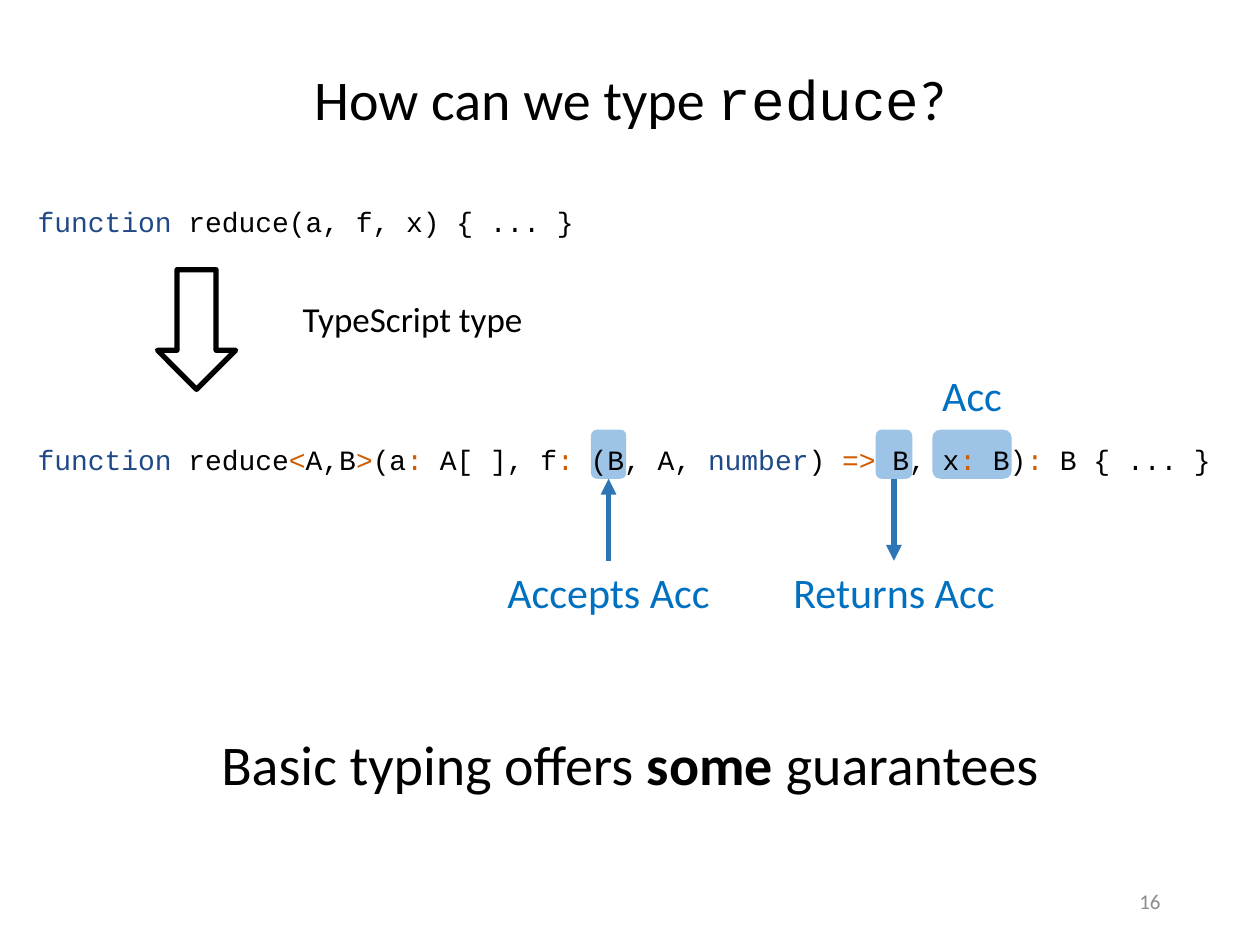
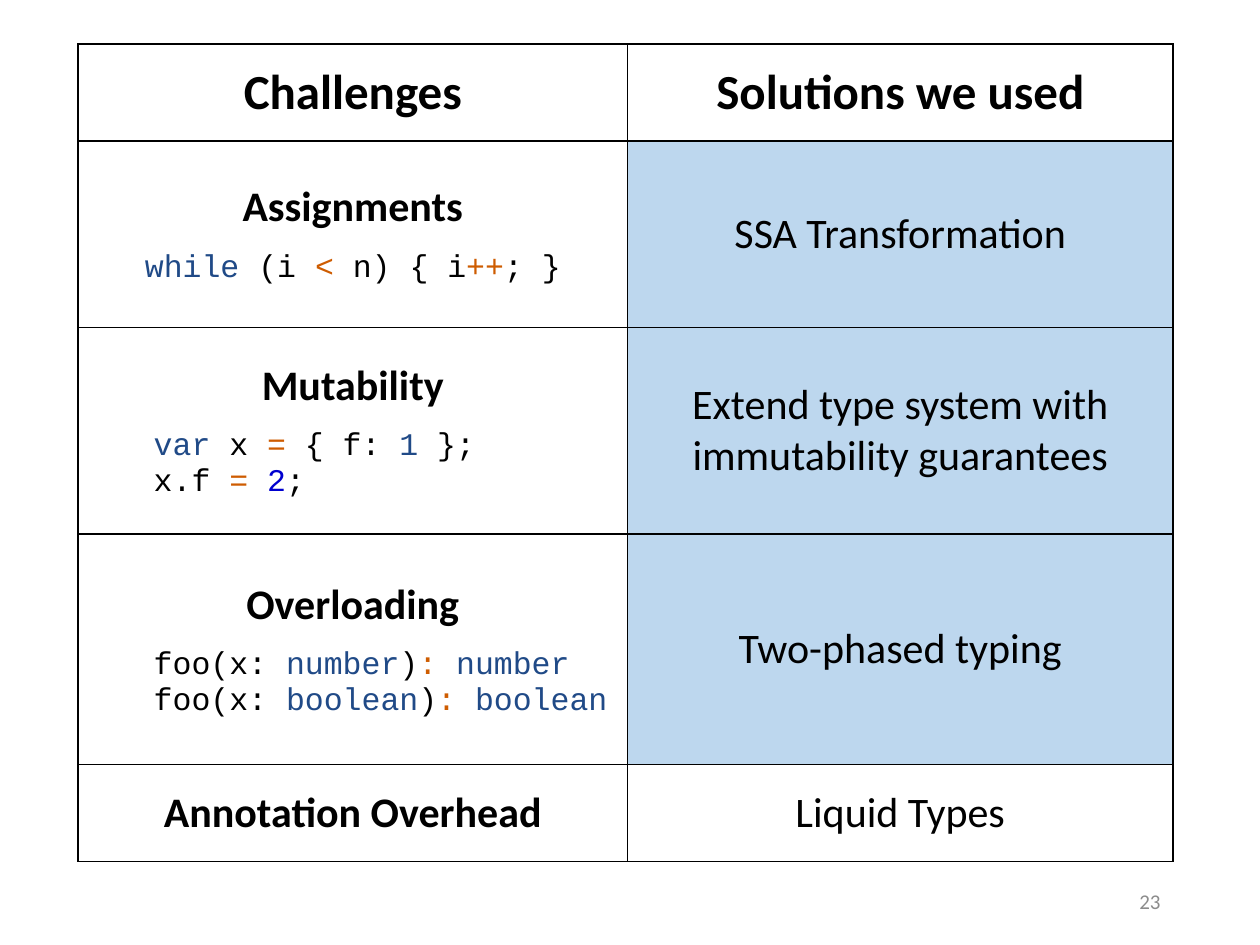
from lxml.etree import SubElement
from pptx import Presentation
from pptx.dml.color import RGBColor
from pptx.enum.shapes import MSO_CONNECTOR, MSO_SHAPE
from pptx.enum.text import MSO_ANCHOR, MSO_AUTO_SIZE, PP_ALIGN
from pptx.oxml.ns import qn
from pptx.util import Inches, Pt

# The slide is a grid of 100 columns and 75 rows, each a tenth of an inch.
COLUMNS, ROWS = 100, 75
UNIT = Inches(0.1)

COLORS = {
    "text": "000000",
    "label": "0070C0",
    "highlight": "9DC3E6",
    "arrow": "2E75B6",
    "solution": "BDD7EE",
    "keyword": "204A87",
    "symbol": "CE5C00",
    "literal": "0000CF",
    "page number": "8C8C8C",
}
PROSE, CODE = "Calibri", "Courier New"

# Each text style: font, colour, bold
STYLES = {
    "plain": (PROSE, "text", False),
    "bold": (PROSE, "text", True),
    "label": (PROSE, "label", False),
    "page number": (PROSE, "page number", False),
    "code": (CODE, "text", False),
    "keyword": (CODE, "keyword", False),
    "symbol": (CODE, "symbol", False),
    "literal": (CODE, "literal", False),
}

HIGHLIGHT_TOP, HIGHLIGHT_HEIGHT = 34.1, 3.9
CALLOUT_TOP = 44.5

TABLE_LEFT, TABLE_TOP = 6.2, 3.5
TABLE_COLUMNS = [43.6, 43.3]
TABLE_ROWS = [7.7, 14.8, 16.4, 18.3, 7.7]
SOLVED_ROWS = range(1, 4)

UNTYPED_REDUCE = [("function", "keyword"), (" reduce(a, f, x) { ... }", "code")]
TYPED_REDUCE = [
    ("function ", "keyword"), ("reduce", "code"), ("<", "symbol"),
    ("A,B", "code"), (">", "symbol"), ("(a", "code"), (": ", "symbol"),
    ("A[ ], f", "code"), (":", "symbol"), (" (B, A, ", "code"),
    ("number", "keyword"), (") ", "code"), ("=>", "symbol"),
    (" B, x", "code"), (": ", "symbol"), ("B)", "code"), (":", "symbol"),
    (" B { ... }", "code"),
]

LOOP = [
    ("while", "keyword"), (" (i ", "code"), ("<", "symbol"),
    (" n) { i", "code"), ("++", "symbol"), ("; }", "code"),
]
MUTATION = [
    [("var", "keyword"), (" x ", "code"), ("=", "symbol"),
     (" { f: ", "code"), ("1", "keyword"), (" };", "code")],
    [("x.f ", "code"), ("= ", "symbol"), ("2", "literal"), (";", "code")],
]
OVERLOADS = [
    [("foo(x: ", "code"), (kind, "keyword"), (")", "code"),
     (": ", "symbol"), (kind, "keyword")]
    for kind in ("number", "boolean")
]

# Each challenge: name, code lines, whether the code is indented, solution
CHALLENGES = [
    ("Assignments", [LOOP], False, "SSA Transformation"),
    ("Mutability", MUTATION, True,
     "Extend type system with immutability guarantees"),
    ("Overloading", OVERLOADS, True, "Two-phased typing"),
    ("Annotation Overhead", [], False, "Liquid Types"),
]


def color(name):
    return RGBColor.from_string(COLORS[name])


def grid(*counts):
    return [round(count * UNIT) for count in counts]


def write(para, spans, size, align=PP_ALIGN.CENTER, spacing=None):
    """Fill a paragraph with (text, style) spans."""
    para.alignment = align
    if spacing:
        para.line_spacing = spacing
    for text, style in spans:
        span = para.add_run()
        span.text = text
        font_name, color_name, bold = STYLES[style]
        span.font.name = font_name
        span.font.size = Pt(size)
        span.font.bold = bold
        span.font.color.rgb = color(color_name)


def add_text(page, place, spans, size, **layout):
    box = page.shapes.add_textbox(*grid(*place))
    box.text_frame.word_wrap = True
    box.text_frame.auto_size = MSO_AUTO_SIZE.SHAPE_TO_FIT_TEXT
    write(box.text_frame.paragraphs[0], spans, size, **layout)
    return box


def add_headline(page, top, spans):
    add_text(page, (0, top, COLUMNS, 6.4), spans, 32)


def add_code_line(page, top, spans):
    add_text(page, (2, top, COLUMNS - 2, 5), spans, 16,
             align=PP_ALIGN.LEFT, spacing=1.5)


def add_page_number(page, number):
    box = add_text(page, (70.6, ROWS - 5.5, 22.5, 4),
                   [(str(number), "page number")], 12, align=PP_ALIGN.RIGHT)
    box.text_frame.auto_size = MSO_AUTO_SIZE.NONE
    box.text_frame.vertical_anchor = MSO_ANCHOR.MIDDLE


def add_filled(page, kind, place, fill):
    shape = page.shapes.add_shape(kind, *grid(*place))
    shape.shadow.inherit = False
    shape.fill.solid()
    shape.fill.fore_color.rgb = color(fill)
    shape.line.fill.background()
    return shape


def add_highlight(page, left, width):
    return add_filled(page, MSO_SHAPE.ROUNDED_RECTANGLE,
                      (left, HIGHLIGHT_TOP, width, HIGHLIGHT_HEIGHT),
                      "highlight")


def add_label(page, text, center, top, width):
    return add_text(page, (center - width / 2, top, width, 5),
                    [(text, "label")], 24)


def add_arrow(page, start, start_side, end, end_side):
    arrow = page.shapes.add_connector(MSO_CONNECTOR.STRAIGHT, 0, 0, 0, 0)
    arrow.begin_connect(start, start_side)
    arrow.end_connect(end, end_side)
    arrow.line.width = Pt(3)
    arrow.line.color.rgb = color("arrow")
    SubElement(arrow.line._get_or_add_ln(), qn("a:tailEnd"), type="triangle")
    SubElement(arrow._element.spPr, qn("a:effectLst"))


def add_callout(page, text, left, width, points_up):
    """Highlight part of the code and join it to a label below."""
    highlight = add_highlight(page, left, width)
    label = add_label(page, text, left + width / 2, CALLOUT_TOP, 18.8)
    ends = [(highlight, 2), (label, 0)]
    if points_up:
        ends.reverse()
    add_arrow(page, *ends[0], *ends[1])


def add_block_arrow(page, place):
    arrow = page.shapes.add_shape(MSO_SHAPE.DOWN_ARROW, *grid(*place))
    arrow.shadow.inherit = False
    arrow.fill.background()
    arrow.line.width = Pt(3)
    arrow.line.color.rgb = color("text")


def clear_cell(cell):
    """Give a cell thin borders, no fill and middle anchoring."""
    properties = cell._tc.get_or_add_tcPr()
    for side in ("lnL", "lnR", "lnT", "lnB"):
        border = SubElement(properties, qn(f"a:{side}"), w=str(Pt(1)))
        fill = SubElement(border, qn("a:solidFill"))
        SubElement(fill, qn("a:srgbClr"), val=COLORS["text"])
    cell.fill.background()
    cell.vertical_anchor = MSO_ANCHOR.MIDDLE


def add_bordered_table(page):
    frame = page.shapes.add_table(
        len(TABLE_ROWS), len(TABLE_COLUMNS),
        *grid(TABLE_LEFT, TABLE_TOP, sum(TABLE_COLUMNS), sum(TABLE_ROWS)))
    table = frame.table
    table.first_row = table.horz_banding = False
    for column, width in zip(table.columns, grid(*TABLE_COLUMNS)):
        column.width = width
    for row, height in zip(table.rows, grid(*TABLE_ROWS)):
        row.height = height
    for cell in table.iter_cells():
        clear_cell(cell)
    return table


def write_cell(cell, text, style, size):
    write(cell.text_frame.paragraphs[0], [(text, style)], size)


def write_cell_code(cell, lines, indented):
    for index, spans in enumerate(lines):
        para = cell.text_frame.add_paragraph()
        write(para, spans, 18,
              align=PP_ALIGN.LEFT if indented else PP_ALIGN.CENTER,
              spacing=None if index else 1.5)
        if indented:
            para.level = 1
            para._p.get_or_add_pPr().set("marL", str(Inches(0.5)))


def build_reduce_slide(page):
    add_highlight(page, 74, 6.3)
    add_callout(page, "Returns Acc", 69.5, 2.9, points_up=False)
    add_callout(page, "Accepts Acc", 46.9, 2.8, points_up=True)
    add_code_line(page, 14.4, UNTYPED_REDUCE)
    add_code_line(page, 33.3, TYPED_REDUCE)
    add_block_arrow(page, (12.5, 21.4, 6.2, 9.5))
    add_text(page, (19.8, 23.1, 25.9, 4.4), [("TypeScript type", "plain")], 20)
    add_headline(page, 4.6, [("How can we type ", "plain"),
                             ("reduce", "code"), ("?", "plain")])
    add_label(page, "Acc", 77.15, 28.8, 7.5)
    add_headline(page, 57.4, [("Basic typing offers ", "plain"),
                              ("some", "bold"), (" guarantees", "plain")])
    add_page_number(page, 16)


def build_challenges_slide(page):
    for row in SOLVED_ROWS:
        add_filled(page, MSO_SHAPE.RECTANGLE,
                   (TABLE_LEFT + TABLE_COLUMNS[0],
                    TABLE_TOP + sum(TABLE_ROWS[:row]),
                    TABLE_COLUMNS[1], TABLE_ROWS[row]), "solution")
    table = add_bordered_table(page)
    for column, heading in enumerate(("Challenges", "Solutions we used")):
        write_cell(table.cell(0, column), heading, "bold", 28)
    for row, (name, code, indented, solution) in enumerate(CHALLENGES, 1):
        write_cell(table.cell(row, 0), name, "bold", 24)
        write_cell_code(table.cell(row, 0), code, indented)
        write_cell(table.cell(row, 1), solution, "plain", 24)
    add_page_number(page, 23)


def main():
    deck = Presentation()
    deck.slide_width, deck.slide_height = grid(COLUMNS, ROWS)
    blank = deck.slide_layouts[6]
    for build in (build_reduce_slide, build_challenges_slide):
        build(deck.slides.add_slide(blank))
    deck.save("out.pptx")


if __name__ == "__main__":
    main()
